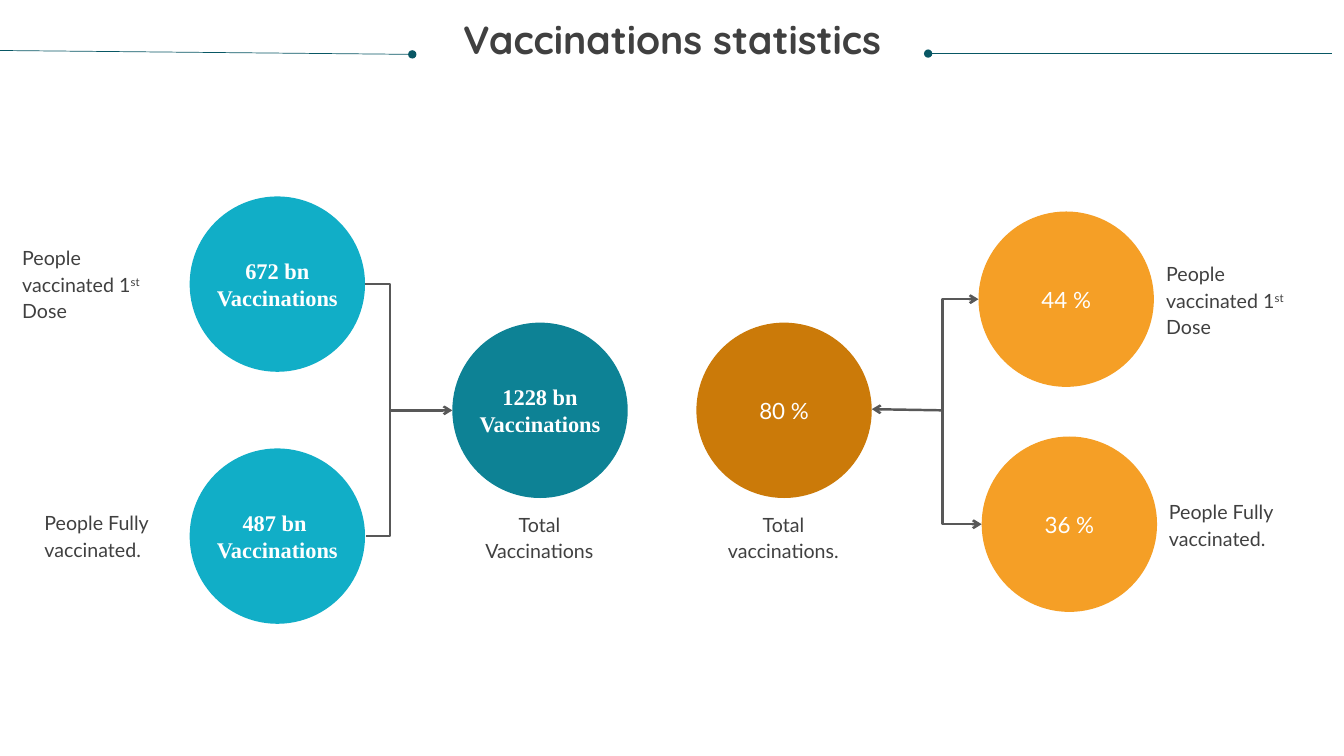
from pptx import Presentation
from pptx.dml.color import RGBColor
from pptx.enum.shapes import MSO_CONNECTOR, MSO_SHAPE
from pptx.enum.text import MSO_ANCHOR, MSO_AUTO_SIZE, PP_ALIGN
from pptx.oxml.ns import qn
from pptx.util import Cm, Pt
from lxml.etree import SubElement

WHITE = RGBColor(0xFF, 0xFF, 0xFF)
INK = RGBColor(0x40, 0x40, 0x40)
GREY = RGBColor(0x58, 0x58, 0x58)
PINE = RGBColor(0x08, 0x57, 0x64)
CYAN = RGBColor(0x11, 0xAE, 0xC7)
TEAL = RGBColor(0x0D, 0x82, 0x95)
BROWN = RGBColor(0xCB, 0x7A, 0x09)
AMBER = RGBColor(0xF5, 0x9F, 0x26)


def write(frame, text, size=16, font="Lato", color=INK, bold=False,
          align=PP_ALIGN.CENTER, space=None, anchor=MSO_ANCHOR.MIDDLE,
          fit=MSO_AUTO_SIZE.SHAPE_TO_FIT_TEXT):
    """Fill a frame; newlines part paragraphs, and bars enclose superscript."""
    frame.margin_left = frame.margin_right = 0
    frame.margin_top = frame.margin_bottom = 0
    frame.word_wrap = True
    frame.auto_size = fit
    frame.vertical_anchor = anchor
    for row, line in enumerate(text.split("\n")):
        para = frame.add_paragraph() if row else frame.paragraphs[0]
        para.alignment = align
        para.line_spacing = space
        for part, words in enumerate(line.split("|")):
            run = para.add_run()
            run.text = words
            run.font.size = Pt(size)
            run.font.name = font
            run.font.bold = bold
            run.font.color.rgb = color
            if part % 2:
                run._r.get_or_add_rPr().set("baseline", "30000")


def link(start, end, color=GREY, width=1.75, head=None, tail=None, bend=None):
    """Join two points; bend is the x of the upright part of an elbow."""
    kind = MSO_CONNECTOR.STRAIGHT if bend is None else MSO_CONNECTOR.ELBOW
    line = shapes.add_connector(kind, *map(Cm, start + end))
    line.line.color.rgb = color
    line.line.width = Pt(width)
    props = line._element.spPr
    for tag, tip in (("a:headEnd", head), ("a:tailEnd", tail)):
        if tip:
            SubElement(props.find(qn("a:ln")), qn(tag), type=tip)
    SubElement(props, qn("a:effectLst"))
    if bend is not None:
        ratio = round((bend - start[0]) / (end[0] - start[0]) * 100000)
        guides = props.find(qn("a:prstGeom")).get_or_add_avLst()
        SubElement(guides, qn("a:gd"), name="adj1", fmla=f"val {ratio}")


deck = Presentation()
deck.slide_width, deck.slide_height = Cm(33.87), Cm(19.05)
slide = deck.slides.add_slide(deck.slide_layouts[5])
shapes = slide.shapes

# Title between two rules
title = shapes.title
title.left, title.top = Cm(0.64), Cm(0.53)
title.width, title.height = Cm(32.59), Cm(2.16)
write(title.text_frame, "Vaccinations statistics", size=28, font="Quicksand",
      bold=True, space=0.9, anchor=MSO_ANCHOR.TOP, fit=MSO_AUTO_SIZE.NONE)
link((23.39, 1.35), (33.58, 1.35), PINE, 0.5, head="oval")
link((-0.23, 1.27), (10.39, 1.37), PINE, 0.5, tail="oval")

# Circles, placed by their centres
SIZE, WIDE = 4.42, 3.81
serif = {"font": "Times New Roman", "bold": True}
discs = [
    (6.99, 7.16, CYAN, "672 bn\nVaccinations", serif),
    (6.99, 13.51, CYAN, "487 bn\u0020\nVaccinations", serif),
    (13.61, 10.34, TEAL, "1228 bn\nVaccinations", serif),
    (19.76, 10.34, BROWN, "80 %", {}),
    (26.87, 7.54, AMBER, "44 %", {}),
    (26.95, 13.21, AMBER, "36 %", {}),
]
for x, y, color, text, style in discs:
    disc = shapes.add_shape(MSO_SHAPE.OVAL, Cm(x - SIZE / 2),
                            Cm(y - SIZE / 2), Cm(SIZE), Cm(SIZE))
    disc.shadow.inherit = False
    disc.fill.solid()
    disc.fill.fore_color.rgb = color
    disc.line.fill.background()
    tall = 0.69 * len(text.split("\n"))
    box = shapes.add_textbox(Cm(x - WIDE / 2), Cm(y - tall / 2),
                             Cm(WIDE), Cm(tall))
    write(box.text_frame, text, color=WHITE, **style)

# Brackets and arrows
link((9.19, 7.16), (9.22, 13.51), bend=9.83)
link((9.83, 10.34), (11.4, 10.34), tail="arrow")
link((23.77, 10.34), (21.97, 10.31), tail="arrow")
link((24.66, 7.54), (24.74, 13.21), head="arrow", tail="arrow", bend=23.75)

# Labels beside and below the circles
FIRST = "People vaccinated 1|st| Dose"
FULL = "People Fully vaccinated."
labels = [
    (17.88, 13.21, 0.61, "Total vaccinations.", PP_ALIGN.CENTER),
    (11.73, 13.21, 0.61, "Total Vaccinations", PP_ALIGN.CENTER),
    (29.39, 6.88, 1.3, FIRST, PP_ALIGN.LEFT),
    (29.46, 12.55, 1.3, FULL, PP_ALIGN.LEFT),
    (0.56, 6.48, 1.3, FIRST, PP_ALIGN.LEFT),
    (1.12, 12.83, 1.3, FULL, PP_ALIGN.LEFT),
]
for x, y, tall, text, align in labels:
    box = shapes.add_textbox(Cm(x), Cm(y), Cm(3.73), Cm(tall))
    write(box.text_frame, text, size=14, align=align, space=Pt(19))

deck.save("out.pptx")
